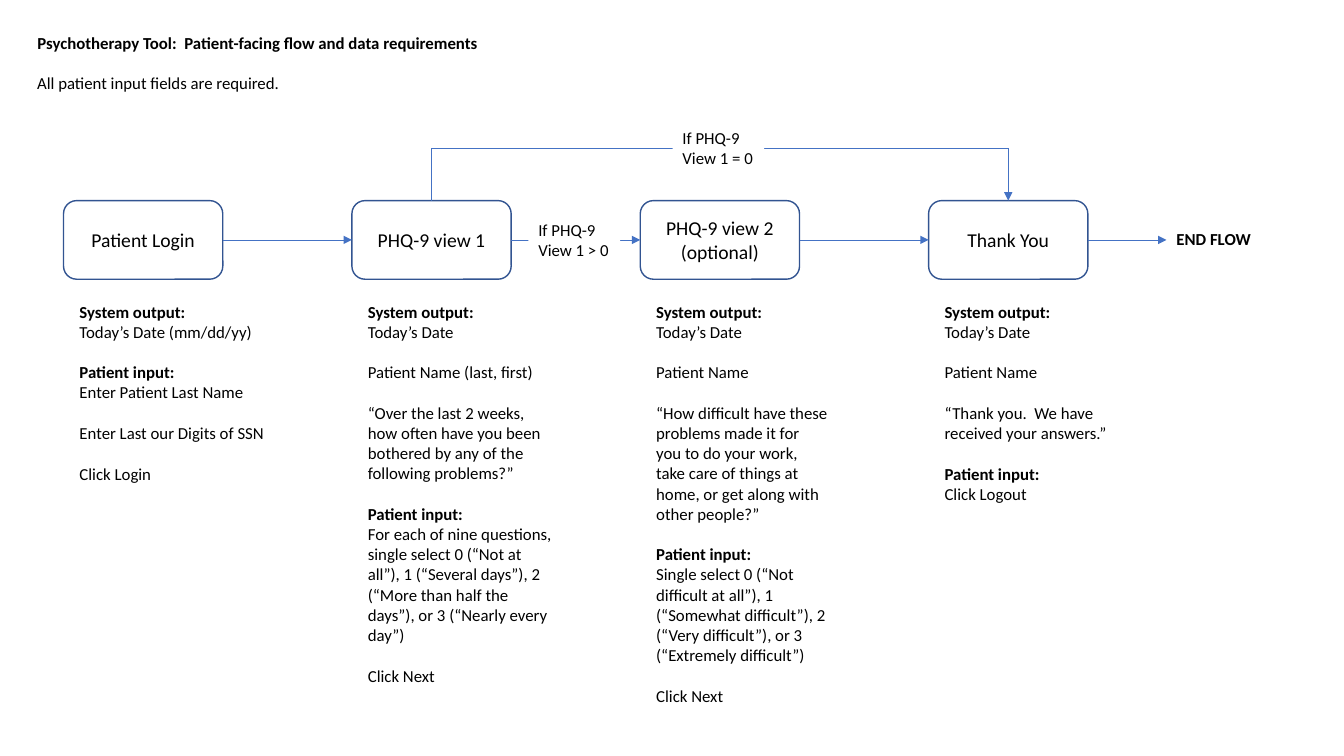
from pptx import Presentation, util as u
from pptx.dml.color import RGBColor
from pptx.enum import shapes, text
from pptx.oxml.ns import qn
from lxml import etree

COLORS = {"white": "FFFFFF", "black": "000000", "outline": "325491", "arrow": "4472C4"}
FONT = "Calibri"
BLANK_LINE = u.Pt(14.6)
TOP, RIGHT, LEFT = 0, 3, 1
STEP_LEFT, STEP_PITCH, STEP_TOP = 0.63, 2.86, 1.99
STEP_WIDTH, STEP_HEIGHT = 1.58, 0.78
BYPASS_TOP = 1.47

STEPS = [
    (["Patient Login"], 2.1, [
        ["System output:", "Today’s Date (mm/dd/yy)"],
        ["Patient input:", "Enter Patient Last Name"],
        ["Enter Last our Digits of SSN"],
        ["Click Login"]]),
    (["PHQ-9 view 1"], 2.05, [
        ["System output:", "Today’s Date"],
        ["Patient Name (last, first)"],
        ["“Over the last 2 weeks, how often have you been bothered by any of the "
         "following problems?”"],
        ["Patient input:",
         "For each of nine questions, single select 0 (“Not at all”), 1 (“Several days”), "
         "2 (“More than half the days”), or 3 (“Nearly every day”)"],
        ["Click Next"]]),
    (["PHQ-9 view 2", "(optional)"], 1.9, [
        ["System output:", "Today’s Date"],
        ["Patient Name"],
        ["“How difficult have these problems made it for you to do your work, take care "
         "of things at home, or get along with other people?”"],
        ["Patient input:",
         "Single select 0 (“Not difficult at all”), 1 (“Somewhat difficult”), "
         "2 (“Very difficult”), or 3 (“Extremely difficult”)"],
        ["Click Next"]]),
    (["Thank You"], 1.9, [
        ["System output:", "Today’s Date"],
        ["Patient Name"],
        ["“Thank you.  We have received your answers.”"],
        ["Patient input:", "Click Logout"]]),
]


def color(name):
    return RGBColor.from_string(COLORS[name])


def inches(*lengths):
    return [u.Inches(length) for length in lengths]


def write(shape, lines, size=12, bold=False, align=text.PP_ALIGN.LEFT,
          anchor=text.MSO_ANCHOR.TOP):
    frame = shape.text_frame
    frame.text = "\n".join(lines)
    frame.word_wrap = True
    frame.auto_size = text.MSO_AUTO_SIZE.NONE
    frame.vertical_anchor = anchor
    for paragraph in frame.paragraphs:
        paragraph.alignment = align
        for run in paragraph.runs:
            run.font.name = FONT
            run.font.size = u.Pt(size)
            run.font.bold = bold
            run.font.color.rgb = color("black")
    return frame


def add_box(slide, kind, box):
    shape = slide.shapes.add_shape(kind, *inches(*box))
    shape.shadow.inherit = False
    shape.fill.solid()
    shape.fill.fore_color.rgb = color("white")
    shape.line.fill.background()
    return shape


def add_line(slide, start=(0, 0), end=(0, 0), arrow=True):
    line = slide.shapes.add_connector(shapes.MSO_CONNECTOR.STRAIGHT, *inches(*start, *end))
    line.line.color.rgb = color("arrow")
    line.line.width = u.Pt(0.5)
    properties = line._element.spPr
    if arrow:
        etree.SubElement(properties.find(qn("a:ln")), qn("a:tailEnd"), type="triangle")
    etree.SubElement(properties, qn("a:effectLst"))
    return line


def add_header(slide, left, top, width):
    title = slide.shapes.title
    title.left, title.top, title.width, title.height = inches(left, top, width, 0.3)
    write(title, ["Psychotherapy Tool:  Patient-facing flow and data requirements"], bold=True)
    note = slide.shapes.add_textbox(*inches(left, top + 0.4, width, 0.3))
    write(note, ["All patient input fields are required."])


def add_step(slide, left, top, name):
    step = add_box(slide, shapes.MSO_SHAPE.ROUNDED_RECTANGLE,
                   (left, top, STEP_WIDTH, STEP_HEIGHT))
    step.line.color.rgb = color("outline")
    step.line.width = u.Pt(1)
    write(step, name, 14, align=text.PP_ALIGN.CENTER, anchor=text.MSO_ANCHOR.MIDDLE)
    return step


def add_requirements(slide, left, top, width, groups):
    lines = [line for group in groups for line in group]
    height = 4.14
    frame = write(slide.shapes.add_textbox(*inches(left, top, width, height)), lines)
    group_starts = {id(group[0]) for group in groups[1:]}
    for line, paragraph in zip(lines, frame.paragraphs):
        paragraph.runs[0].font.bold = line.endswith(":")
        if id(line) in group_starts:
            paragraph.space_before = BLANK_LINE


def add_label(slide, box, words, bold=False):
    write(add_box(slide, shapes.MSO_SHAPE.RECTANGLE, box), [words], bold=bold)


def add_bypass(slide, left, right, top, bottom):
    corners = [(left, bottom), (left, top), (right, top), (right, bottom)]
    for start, end in zip(corners, corners[1:]):
        add_line(slide, start, end, arrow=end == corners[-1])
    add_label(slide, (6.67, top - 0.25, 0.91, 0.5), "If PHQ-9 View 1 = 0")


def add_flow(slide, left, top):
    steps = []
    for index, (name, width, groups) in enumerate(STEPS):
        step_left = left + index * STEP_PITCH
        steps.append(add_step(slide, step_left, top, name))
        add_requirements(slide, step_left + 0.06, top + 0.95, width, groups)
    for before, after in zip(steps, steps[1:]):
        arrow = add_line(slide)
        arrow.begin_connect(before, RIGHT)
        arrow.end_connect(after, LEFT)
    middle = top + STEP_HEIGHT / 2
    end_left = 11.57
    last = add_line(slide, end=(end_left, middle))
    last.begin_connect(steps[-1], RIGHT)
    add_label(slide, (end_left, middle - 0.16, 1.04, 0.3), "END FLOW", bold=True)
    add_label(slide, (5.24, middle - 0.25, 0.91, 0.5), "If PHQ-9 View 1 > 0")
    center = left + STEP_WIDTH / 2
    add_bypass(slide, center + STEP_PITCH, center + 3 * STEP_PITCH, BYPASS_TOP, top)


presentation = Presentation()
presentation.slide_width, presentation.slide_height = inches(13.33, 7.5)
slide = presentation.slides.add_slide(presentation.slide_layouts[5])
add_header(slide, 0.27, 0.27, 4.96)
add_flow(slide, STEP_LEFT, STEP_TOP)
presentation.save("out.pptx")
